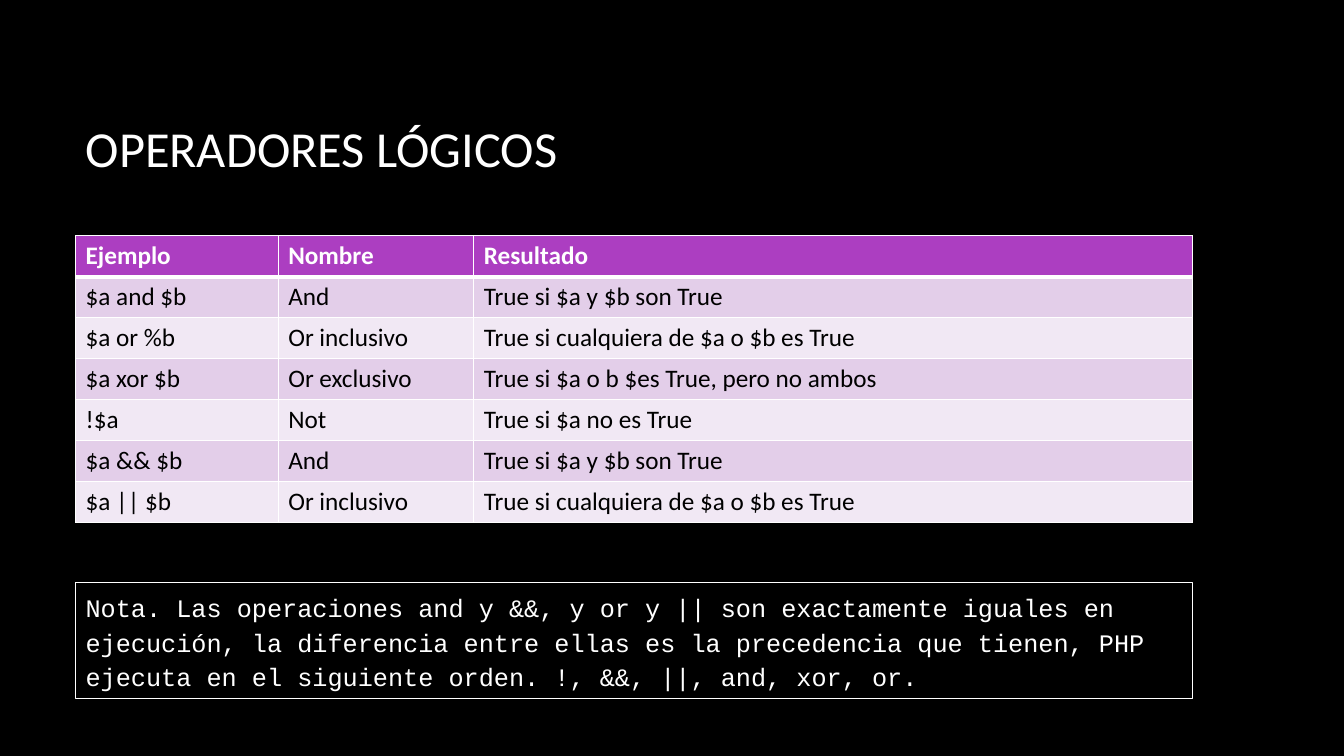
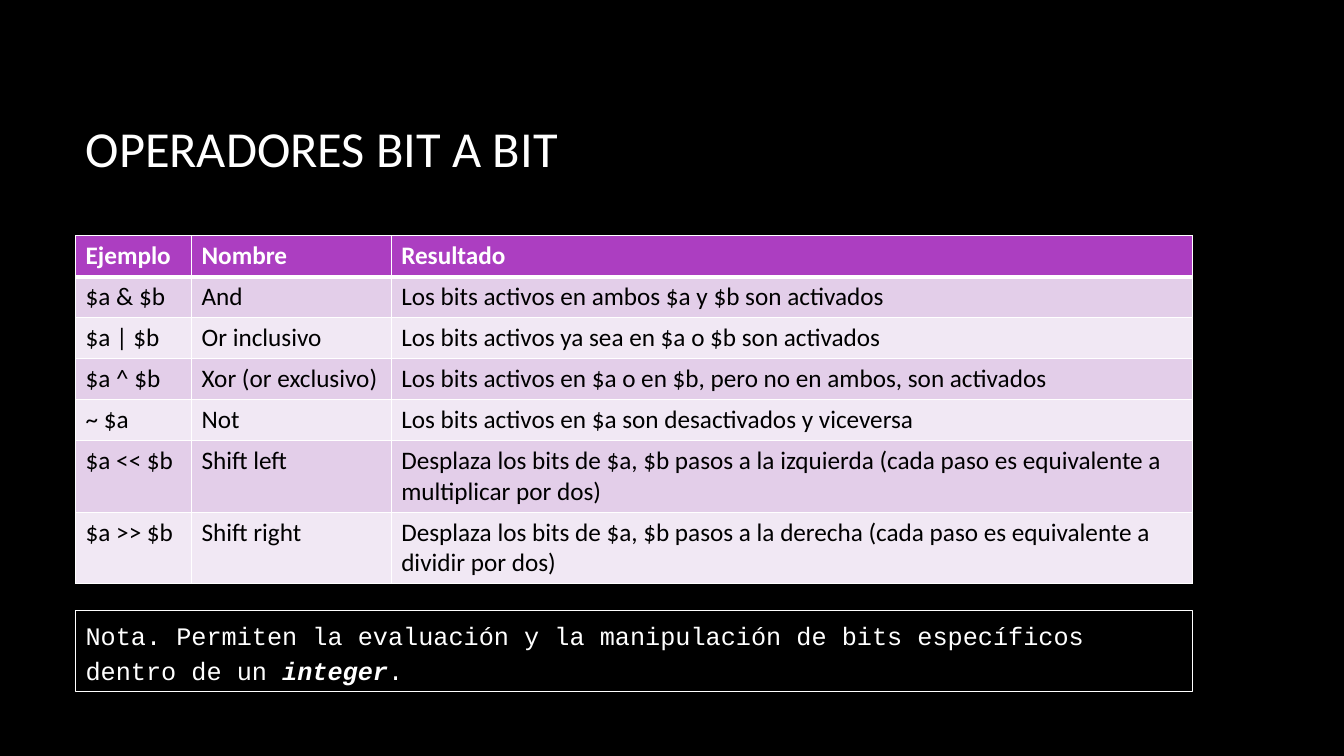
from dataclasses import dataclass

from lxml.etree import SubElement
from pptx import Presentation
from pptx.dml.color import RGBColor
from pptx.enum.shapes import MSO_SHAPE
from pptx.enum.text import MSO_ANCHOR, MSO_AUTO_SIZE, PP_ALIGN
from pptx.oxml.ns import qn
from pptx.util import Inches, Pt


@dataclass(frozen=True)
class Theme:
    black: RGBColor = RGBColor.from_string("000000")
    white: RGBColor = RGBColor.from_string("FFFFFF")
    header: RGBColor = RGBColor.from_string("AC3EC1")
    odd_row: RGBColor = RGBColor.from_string("E3CEE9")
    even_row: RGBColor = RGBColor.from_string("F1E8F4")
    text_font: str = "Calibri"
    code_font: str = "Courier New"
    title_size: Pt = Pt(36)
    body_size: Pt = Pt(18)
    thin_border: Pt = Pt(1)
    thick_border: Pt = Pt(3)
    note_border: Pt = Pt(0.75)


theme = Theme()
title_format = {"name": theme.text_font, "size": theme.title_size, "bold": False}
header_format = {"name": theme.text_font, "size": theme.body_size, "bold": True}
body_format = header_format | {"bold": False}
note_format = {"name": theme.code_font, "size": theme.body_size, "bold": False, "italic": False}
emphasis_format = note_format | {"bold": True, "italic": True}


def add_text(paragraph, text, font_format, color):
    run = paragraph.add_run()
    run.text = text
    for attribute, value in font_format.items():
        setattr(run.font, attribute, value)
    run.font.color.rgb = color


def add_border(cell, side, width):
    properties = cell._tc.get_or_add_tcPr()
    line = SubElement(properties, qn(f"a:ln{side}"), w=str(width))
    fill = SubElement(line, qn("a:solidFill"))
    SubElement(fill, qn("a:srgbClr"), val=str(theme.white))


left, content_width = Inches(0.75), Inches(11.08)
title_box = {"left": left, "top": Inches(0.67), "width": content_width, "height": Inches(1.59)}
table_top = Inches(2.34)
single_row, double_row = Inches(0.406), Inches(0.7)
headings = ("Ejemplo", "Nombre", "Resultado")

slides = [
    {
        "title": "OPERADORES LÓGICOS",
        "columns": (2.01, 1.94, 7.13),
        "rows": [
            ("$a and $b", "And", "True si $a y $b son True"),
            ("$a or %b", "Or inclusivo", "True si cualquiera de $a o $b es True"),
            ("$a xor $b", "Or exclusivo", "True si $a o b $es True, pero no ambos"),
            ("!$a", "Not", "True si $a no es True"),
            ("$a && $b", "And", "True si $a y $b son True"),
            ("$a || $b", "Or inclusivo", "True si cualquiera de $a o $b es True"),
        ],
        "double_rows": (),
        "note_top": 5.78,
        "note_height": 1.15,
        "note": [
            (
                "Nota. Las operaciones and y &&, y or y || son exactamente iguales en "
                "ejecución, la diferencia entre ellas es la precedencia que tienen, PHP "
                "ejecuta en el siguiente orden. !, &&, ||, and, xor, or.",
                note_format,
            ),
        ],
    },
    {
        "title": "OPERADORES BIT A BIT",
        "columns": (1.15, 1.98, 7.95),
        "rows": [
            ("$a & $b", "And", "Los bits activos en ambos $a y $b son activados"),
            ("$a | $b", "Or inclusivo", "Los bits activos ya sea en $a o $b son activados"),
            (
                "$a ^ $b",
                "Xor (or exclusivo)",
                "Los bits activos en $a o en $b, pero no en ambos, son activados",
            ),
            ("~ $a", "Not", "Los bits activos en $a son desactivados y viceversa"),
            (
                "$a << $b",
                "Shift left",
                "Desplaza los bits de $a, $b pasos a la izquierda "
                "(cada paso es equivalente a multiplicar por dos)",
            ),
            (
                "$a >> $b",
                "Shift right",
                "Desplaza los bits de $a, $b pasos a la derecha "
                "(cada paso es equivalente a dividir por dos)",
            ),
        ],
        "double_rows": (5, 6),
        "note_top": 6.06,
        "note_height": 0.8,
        "note": [
            (
                "Nota. Permiten la evaluación y la manipulación de bits específicos dentro de un ",
                note_format,
            ),
            ("integer", emphasis_format),
            (".", note_format),
        ],
    },
]

presentation = Presentation()
presentation.slide_width = Inches(13.33)
presentation.slide_height = Inches(7.5)
background = presentation.slide_master.background.fill
background.solid()
background.fore_color.rgb = theme.black
title_only = presentation.slide_layouts.get_by_name("Title Only")

for content in slides:
    slide = presentation.slides.add_slide(title_only)

    title = slide.shapes.title
    for attribute, value in title_box.items():
        setattr(title, attribute, value)
    title.text_frame.vertical_anchor = MSO_ANCHOR.MIDDLE
    paragraph = title.text_frame.paragraphs[0]
    paragraph.alignment = PP_ALIGN.LEFT
    add_text(paragraph, content["title"], title_format, theme.white)

    rows = [headings, *content["rows"]]
    heights = [
        double_row if index in content["double_rows"] else single_row
        for index in range(len(rows))
    ]
    table = slide.shapes.add_table(
        len(rows), len(headings), left, table_top, content_width, sum(heights)
    ).table
    for column, width in zip(table.columns, content["columns"]):
        column.width = Inches(width)
    for row_index, (texts, height) in enumerate(zip(rows, heights)):
        table.rows[row_index].height = height
        is_header = row_index == 0
        if is_header:
            fill_color, text_color, cell_format = theme.header, theme.white, header_format
        else:
            fill_color = theme.odd_row if row_index % 2 else theme.even_row
            text_color, cell_format = theme.black, body_format
        border_widths = {
            "L": theme.thin_border,
            "R": theme.thin_border,
            "T": theme.thick_border if row_index == 1 else theme.thin_border,
            "B": theme.thick_border if is_header else theme.thin_border,
        }
        for column_index, text in enumerate(texts):
            cell = table.cell(row_index, column_index)
            for side, width in border_widths.items():
                add_border(cell, side, width)
            cell.fill.solid()
            cell.fill.fore_color.rgb = fill_color
            add_text(cell.text_frame.paragraphs[0], text, cell_format, text_color)

    note = slide.shapes.add_shape(
        MSO_SHAPE.RECTANGLE,
        left,
        Inches(content["note_top"]),
        content_width,
        Inches(content["note_height"]),
    )
    note.shadow.inherit = False
    note.fill.solid()
    note.fill.fore_color.rgb = theme.black
    note.line.color.rgb = theme.white
    note.line.width = theme.note_border
    frame_format = {
        "word_wrap": True,
        "auto_size": MSO_AUTO_SIZE.SHAPE_TO_FIT_TEXT,
        "vertical_anchor": MSO_ANCHOR.TOP,
    }
    for attribute, value in frame_format.items():
        setattr(note.text_frame, attribute, value)
    paragraph = note.text_frame.paragraphs[0]
    paragraph.alignment = PP_ALIGN.LEFT
    paragraph.line_spacing = 1.15
    for text, run_format in content["note"]:
        add_text(paragraph, text, run_format, theme.white)

presentation.save("out.pptx")
